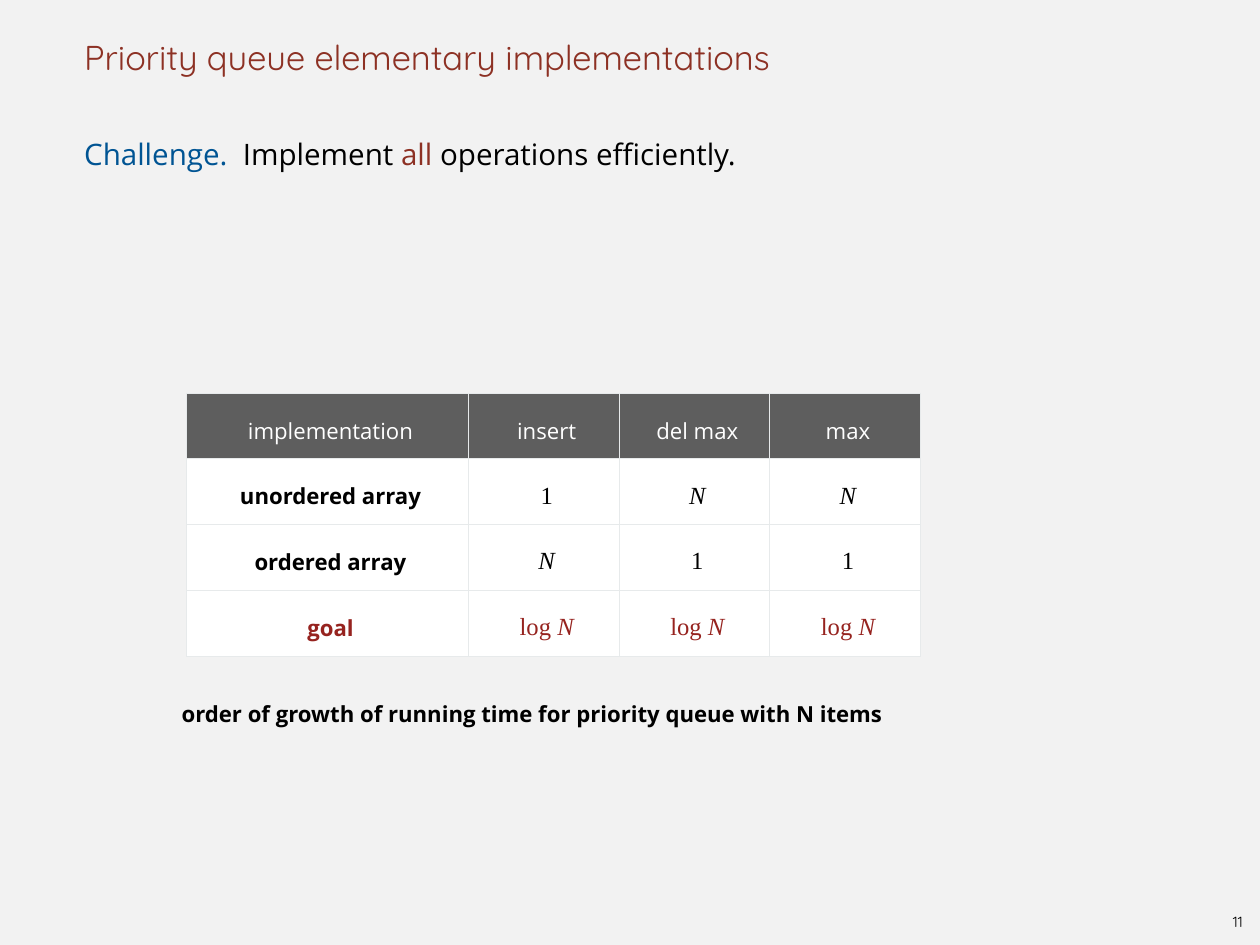
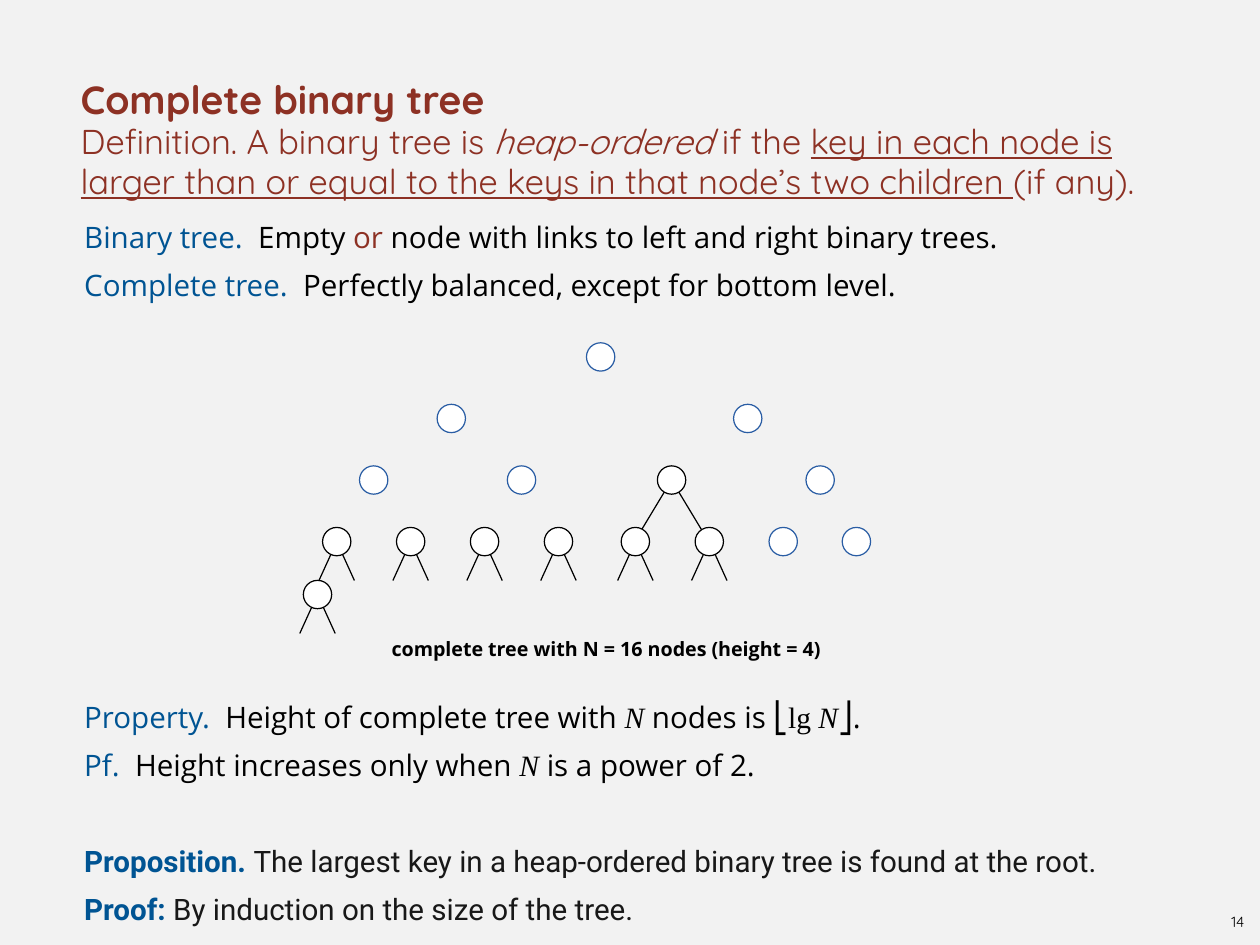
from lxml import etree
from pptx import Presentation
from pptx.dml.color import RGBColor
from pptx.enum.shapes import MSO_CONNECTOR, MSO_SHAPE
from pptx.enum.text import MSO_ANCHOR, PP_ALIGN
from pptx.oxml.ns import qn
from pptx.util import Inches, Pt

WIDE, HIGH = 14.22, 10.67
LEFT, SPAN = 0.89, 12.44
PAD = 0.06
LINE = 39
ROW = LINE / 72
OVAL, STRAIGHT = MSO_SHAPE.OVAL, MSO_CONNECTOR.STRAIGHT
TOP, MID, BASE = MSO_ANCHOR.TOP, MSO_ANCHOR.MIDDLE, MSO_ANCHOR.BOTTOM
START, CENTER = PP_ALIGN.LEFT, PP_ALIGN.CENTER

PAPER, WHITE, BLACK = "F2F2F2", "FFFFFF", "000000"
RED, BLUE, INK, GOAL = "8D3124", "005493", "181818", "96231F"
HEAD, RULE, RING = "5E5E5E", "E7EAEB", "2A5DA4"

TITLE = dict(name="Quicksand", size=Pt(28), color=RED)
BOLD = dict(TITLE, size=Pt(32), bold=True)
SLANT = dict(TITLE, italic=True)
UNDER = dict(TITLE, underline=True)
FOOT = dict(name="Quicksand", size=Pt(12), color=BLACK)
TEXT = dict(name="Open Sans", size=Pt(24), color=BLACK)
TERM = dict(TEXT, color=BLUE)
KEY = dict(TEXT, color=RED)
MATH = dict(TEXT, name="Times New Roman")
VAR = dict(MATH, italic=True)
CLAIM = dict(TEXT, name="Roboto", color=INK)
LEAD = dict(CLAIM, color=BLUE, bold=True)
NOTE = dict(TEXT, size=Pt(18), bold=True)
SMALL = dict(NOTE, size=Pt(16))
LABEL = dict(TEXT, size=Pt(18), color=WHITE)
COST = dict(MATH, size=Pt(20))
COSTVAR = dict(COST, italic=True)
AIM = dict(COST, color=GOAL)
AIMVAR = dict(AIM, italic=True)


def hue(code):
    """Turn a hex string into a colour."""
    return RGBColor.from_string(code)


def write(frame, paras, align=START, space=None):
    """Fill a text frame with paragraphs of styled runs."""
    for num, runs in enumerate(paras):
        para = frame.add_paragraph() if num else frame.paragraphs[0]
        para.alignment = align
        if space:
            para.line_spacing = space
        for words, style in runs:
            run = para.add_run()
            run.text = words
            for name, value in style.items():
                if name == "color":
                    run.font.color.rgb = hue(value)
                else:
                    setattr(run.font, name, value)


def text(slide, box, paras, align=START, space=None, anchor=TOP, wrap=True):
    """Place a text box at left, top, width, height."""
    frame = slide.shapes.add_textbox(*map(Inches, box)).text_frame
    form = dict(word_wrap=wrap, vertical_anchor=anchor, margin_left=Inches(PAD),
                margin_right=0, margin_top=0, margin_bottom=0)
    for name, value in form.items():
        setattr(frame, name, value)
    write(frame, paras, align, space)


def base(deck, number, box, title):
    """Add a slide with its ground, title and page number."""
    slide = deck.slides.add_slide(deck.slide_layouts[6])
    slide.background.fill.solid()
    slide.background.fill.fore_color.rgb = hue(PAPER)
    text(slide, box, title, space=0.95, anchor=BASE)
    text(slide, (13.77, 10.25, 0.34, 0.32), [[(number, FOOT)]], CENTER,
         anchor=MID, wrap=False)
    return slide


def body(slide, top, paras):
    """Place statements on the fixed line grid."""
    text(slide, (LEFT, top, SPAN, ROW * len(paras)), paras, space=Pt(LINE))


def edge(cell):
    """Draw the four rules of a cell."""
    props = cell._tc.get_or_add_tcPr()
    for num, side in enumerate(("lnL", "lnR", "lnT", "lnB")):
        line = etree.Element(qn("a:" + side), w=str(Pt(1)))
        fill = etree.SubElement(line, qn("a:solidFill"))
        etree.SubElement(fill, qn("a:srgbClr"), val=RULE)
        props.insert(num, line)


def grid(slide, box, rows, cols):
    """Place the cost table with column widths as shares of the box."""
    table = slide.shapes.add_table(len(rows), len(cols), *map(Inches, box)).table
    form = dict(vertical_anchor=MID, margin_left=Inches(2 * PAD),
                margin_right=Inches(PAD), margin_top=Inches(PAD),
                margin_bottom=Inches(PAD))
    for col, share in zip(table.columns, cols):
        col.width = Inches(box[2] * share / sum(cols))
    for r, row in enumerate(rows):
        for c, runs in enumerate(row):
            cell = table.cell(r, c)
            for name, value in form.items():
                setattr(cell, name, value)
            cell.fill.solid()
            cell.fill.fore_color.rgb = hue(WHITE if r else HEAD)
            edge(cell)
            write(cell.text_frame, [runs], CENTER, 1.3)


def branch(slide, start, end):
    """Draw one black link between two points."""
    link = slide.shapes.add_connector(STRAIGHT, *map(Inches, start + end))
    link.line.color.rgb = hue(BLACK)
    link.line.width = Pt(1)
    etree.SubElement(link._element.spPr, qn("a:effectLst"))


def node(slide, x, y, legs):
    """Draw a tree node around its centre, with legs if it has any."""
    size = 0.32
    if legs:
        across, down = legs
        for side in (-across, across):
            branch(slide, (x, y), (x + side, y + down))
    ring = slide.shapes.add_shape(
        OVAL, *map(Inches, (x - size / 2, y - size / 2, size, size)))
    ring.shadow.inherit = False
    ring.fill.solid()
    ring.fill.fore_color.rgb = hue(WHITE)
    ring.line.color.rgb = hue(BLACK if legs else RING)
    ring.line.width = Pt(1)


def tree(slide, box):
    """Draw the tree on seven column steps and four row steps of the box."""
    left, top, width, height = box
    step, rise = width / 7, height / 4
    short, long = (0.2, 0.44), (0.41, 0.68)
    plain = [(3.57, 0), (1.55, 1), (5.56, 1), (0.5, 2), (2.5, 2), (6.54, 2),
             (6.04, 3), (7.03, 3)]
    leaf = [(0, 3), (1, 3), (2, 3), (3, 3), (4.04, 3), (5.04, 3), (-0.26, 3.86)]
    for spots, legs in ((plain, None), ([(4.53, 2)], long), (leaf, short)):
        for col, row in spots:
            node(slide, left + col * step, top + row * rise, legs)
    text(slide, (left + 0.67 * step, top + 4.36 * rise, 5.75, 0.36),
         [[("complete tree with N = 16 nodes (height = 4)", SMALL)]], space=1.5)


def costs(deck):
    """Build the slide on elementary implementations."""
    slide = base(deck, "11", (LEFT, 0, SPAN, LEFT),
                 [[("Priority queue elementary implementations", TITLE)]])
    body(slide, 1.39, [[("Challenge.  ", TERM), ("Implement ", TEXT),
                        ("all", KEY), (" operations efficiently.", TEXT)]])
    one, many = [("1", COST)], [("N", COSTVAR)]
    log = [("log", AIM), (" N", AIMVAR)]
    heads = ("implementation", "insert", "del max", "max")
    grid(slide, (2.11, 4.44, 8.28, 2.97), [
        [[(word, LABEL)] for word in heads],
        [[("unordered array", NOTE)], one, many, many],
        [[("ordered array", NOTE)], many, one, one],
        [[("goal", dict(NOTE, color=GOAL))], log, log, log],
    ], (3.18, 1.7, 1.7, 1.7))
    text(slide, (1.99, 7.76, 8.54, 0.4), [[(
        "order of growth of running time for priority queue with N items",
        NOTE)]], space=1.5)


def heaps(deck):
    """Build the slide on complete binary trees."""
    slide = base(deck, "14", (0.85, 0.39, SPAN, 1.89), [
        [("Complete binary tree", BOLD)],
        [("Definition. A binary tree is ", TITLE), ("heap-ordered ", SLANT),
         ("if the ", TITLE),
         ("key in each node is larger than or equal to the keys in that "
          "node’s two children ", UNDER), ("(if any).", TITLE)]])
    top = 1.25
    body(slide, top + 2 * ROW, [
        [("Binary tree.  ", TERM), ("Empty ", TEXT), ("or ", KEY),
         ("node with links to left and right binary trees.", TEXT)],
        [("Complete tree. ", TERM),
         (" Perfectly balanced, except for bottom level.", TEXT)]])
    body(slide, top + 12 * ROW, [
        [("Property.  ", TERM), ("Height of complete tree with ", TEXT),
         ("N", VAR), (" nodes is", TEXT), (" ⎣lg ", MATH), ("N", VAR),
         ("⎦", MATH), (".", TEXT)],
        [("Pf.  ", TERM), ("Height increases only when ", TEXT), ("N", VAR),
         (" is a power of 2.", TEXT)]])
    body(slide, top + 15 * ROW, [
        [("Proposition. ", LEAD),
         ("The largest key in a heap-ordered binary tree is found at the root.",
          CLAIM)],
        [("Proof: ", LEAD), ("By induction on the size of the tree.", CLAIM)]])
    tree(slide, (3.8, 4.03, 5.84, 2.78))


def main():
    """Build and save the deck."""
    deck = Presentation()
    deck.slide_width, deck.slide_height = Inches(WIDE), Inches(HIGH)
    costs(deck)
    heaps(deck)
    deck.save("out.pptx")


if __name__ == "__main__":
    main()
